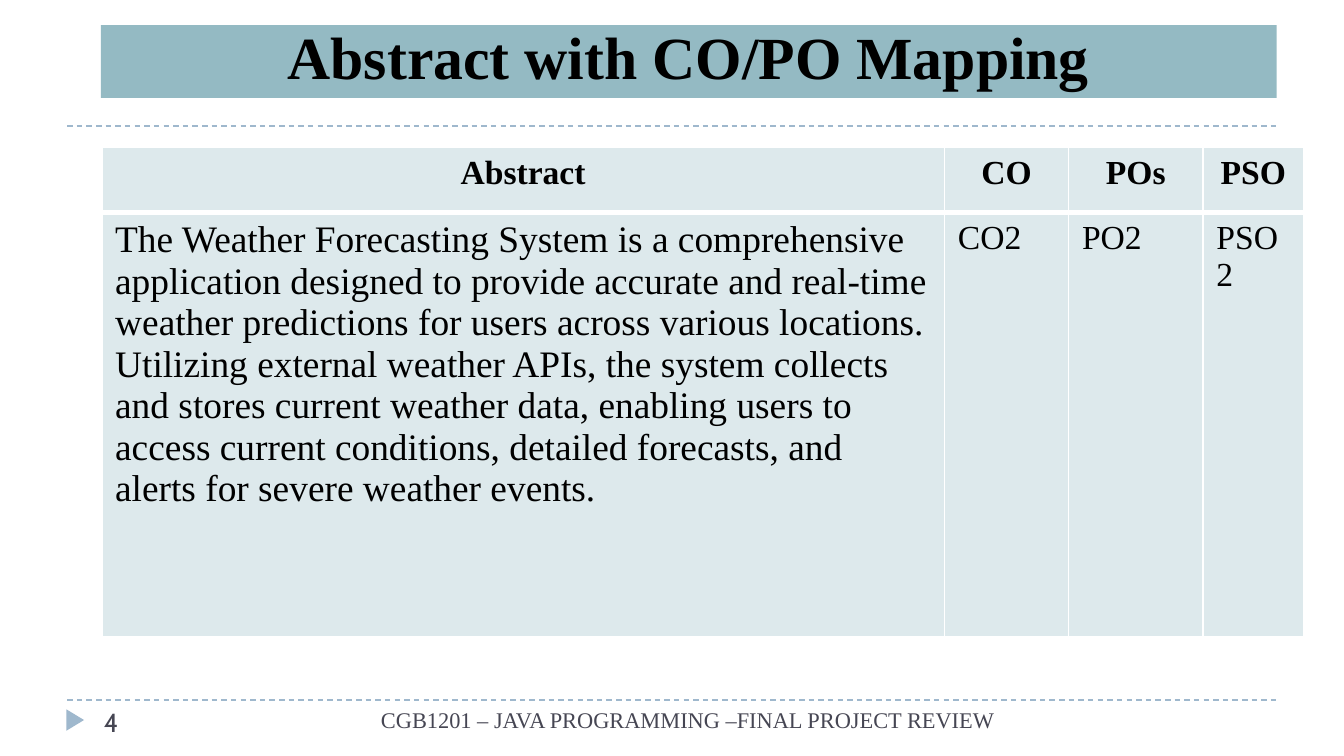
from dataclasses import dataclass

from lxml.etree import SubElement
from pptx import Presentation
from pptx.dml.color import RGBColor
from pptx.enum.dml import MSO_LINE
from pptx.enum.shapes import MSO_CONNECTOR, MSO_SHAPE
from pptx.enum.text import MSO_ANCHOR, MSO_AUTO_SIZE, PP_ALIGN
from pptx.oxml.ns import qn
from pptx.util import Pt


@dataclass(frozen=True)
class Theme:
    """Colours, fonts and type sizes of the slide."""

    accent: str = "9FB8CD"
    title_fill: str = "94BAC3"
    cell_fill: str = "DDE9EC"
    border: str = "FFFFFF"
    ink: str = "000000"
    muted: str = "464653"
    serif: str = "Times New Roman"
    sans: str = "Cabin"
    title_size: float = 32
    body_size: float = 20
    table_size: float = 18
    number_size: float = 14
    footer_size: float = 12


class SlideBuilder:
    """Draws styled elements on one slide, with lengths in points."""

    def __init__(self, slide, theme):
        """Keep the slide and its theme."""
        self.slide = slide
        self.theme = theme

    def set_text(self, text_frame, text, size, color, font=None, bold=False, align=PP_ALIGN.LEFT):
        """Set and format the text of a frame."""
        text_frame.text = text
        text_frame.word_wrap = True
        for paragraph in text_frame.paragraphs:
            paragraph.alignment = align
            for run in paragraph.runs:
                run.font.name = font or self.theme.serif
                run.font.size = Pt(size)
                run.font.bold = bold
                run.font.color.rgb = RGBColor.from_string(color)

    def place(self, shape, left, top, width, height):
        """Move and size a shape."""
        shape.left, shape.top = Pt(left), Pt(top)
        shape.width, shape.height = Pt(width), Pt(height)

    def title(self, text, *box):
        """Format the title placeholder as a filled band."""
        shape = self.slide.shapes.title
        self.place(shape, *box)
        shape.fill.solid()
        shape.fill.fore_color.rgb = RGBColor.from_string(self.theme.title_fill)
        self.set_text(shape.text_frame, text, self.theme.title_size, self.theme.ink,
                      bold=True, align=PP_ALIGN.CENTER)
        shape.text_frame.auto_size = MSO_AUTO_SIZE.NONE
        shape.text_frame.vertical_anchor = MSO_ANCHOR.BOTTOM

    def rule(self, left, right, top):
        """Draw a dashed horizontal line."""
        connector = self.slide.shapes.add_connector(
            MSO_CONNECTOR.STRAIGHT, Pt(left), Pt(top), Pt(right), Pt(top))
        connector.line.color.rgb = RGBColor.from_string(self.theme.accent)
        connector.line.width = Pt(0.75)
        connector.line.dash_style = MSO_LINE.DASH
        SubElement(connector._element.spPr, qn("a:effectLst"))

    def marker(self, left, top, width, height):
        """Draw a triangle pointing right."""
        shape = self.slide.shapes.add_shape(
            MSO_SHAPE.ISOSCELES_TRIANGLE, Pt(left), Pt(top), Pt(width), Pt(height))
        shape.rotation = 90
        shape.shadow.inherit = False
        shape.fill.solid()
        shape.fill.fore_color.rgb = RGBColor.from_string(self.theme.accent)
        shape.line.fill.background()

    def label(self, text, left, top, width, height, size, font, align=PP_ALIGN.LEFT):
        """Add a muted text box."""
        shape = self.slide.shapes.add_textbox(Pt(left), Pt(top), Pt(width), Pt(height))
        self.set_text(shape.text_frame, text, size, self.theme.muted, font, align=align)
        shape.text_frame.margin_right = Pt(10)

    def borders(self, cell, **widths):
        """Give a cell solid borders, named by side."""
        properties = cell._tc.get_or_add_tcPr()
        for side, width in widths.items():
            line = SubElement(properties, qn(f"a:ln{side}"), w=str(Pt(width)))
            fill = SubElement(line, qn("a:solidFill"))
            SubElement(fill, qn("a:srgbClr"), val=self.theme.border)

    def table(self, rows, left, top, widths, heights):
        """Add a table with a bold, centred header row."""
        frame = self.slide.shapes.add_table(
            len(rows), len(widths), Pt(left), Pt(top), Pt(sum(widths)), Pt(sum(heights)))
        table = frame.table
        for column, width in zip(table.columns, widths):
            column.width = Pt(width)
        for row_index, (row, height) in enumerate(zip(rows, heights)):
            table.rows[row_index].height = Pt(height)
            header = row_index == 0
            for column_index, text in enumerate(row):
                cell = table.cell(row_index, column_index)
                abstract = not header and column_index == 0
                self.set_text(cell.text_frame, text,
                              self.theme.body_size if abstract else self.theme.table_size,
                              self.theme.ink, bold=header,
                              align=PP_ALIGN.CENTER if header else PP_ALIGN.LEFT)
                self.borders(cell, L=1, R=1, T=1 if header else 3, B=3 if header else 1)
                cell.fill.solid()
                cell.fill.fore_color.rgb = RGBColor.from_string(self.theme.cell_fill)


def main():
    """Build and save the presentation."""
    presentation = Presentation()
    presentation.slide_width, presentation.slide_height = Pt(720), Pt(405)
    slide = presentation.slides.add_slide(presentation.slide_layouts[5])
    theme = Theme()
    builder = SlideBuilder(slide, theme)

    for top in (375, 67.5):
        builder.rule(36, 684, top)
    builder.marker(34.5, 381, 11.5, 9.5)
    builder.title("Abstract with CO/PO Mapping", 54, 13.5, 630, 39)
    builder.label("CGB1201 – JAVA PROGRAMMING –FINAL PROJECT REVIEW",
                  195, 375, 348, 29.5, theme.footer_size, theme.serif, PP_ALIGN.RIGHT)
    builder.label("4", 48.5, 375, 156, 21.5, theme.number_size, theme.sans)

    abstract = (
        "The Weather Forecasting System is a comprehensive application designed to "
        "provide accurate and real-time weather predictions for users across various "
        "locations. Utilizing external weather APIs, the system collects and stores "
        "current weather data, enabling users to access current conditions, detailed "
        "forecasts, and alerts for severe weather events."
    )
    rows = [("Abstract", "CO", "POs", "PSO"), (abstract, "CO2", "PO2", "PSO2")]
    builder.table(rows, 54.5, 79, (451.5, 66.5, 72, 54), (35, 227))
    presentation.save("out.pptx")


if __name__ == "__main__":
    main()
